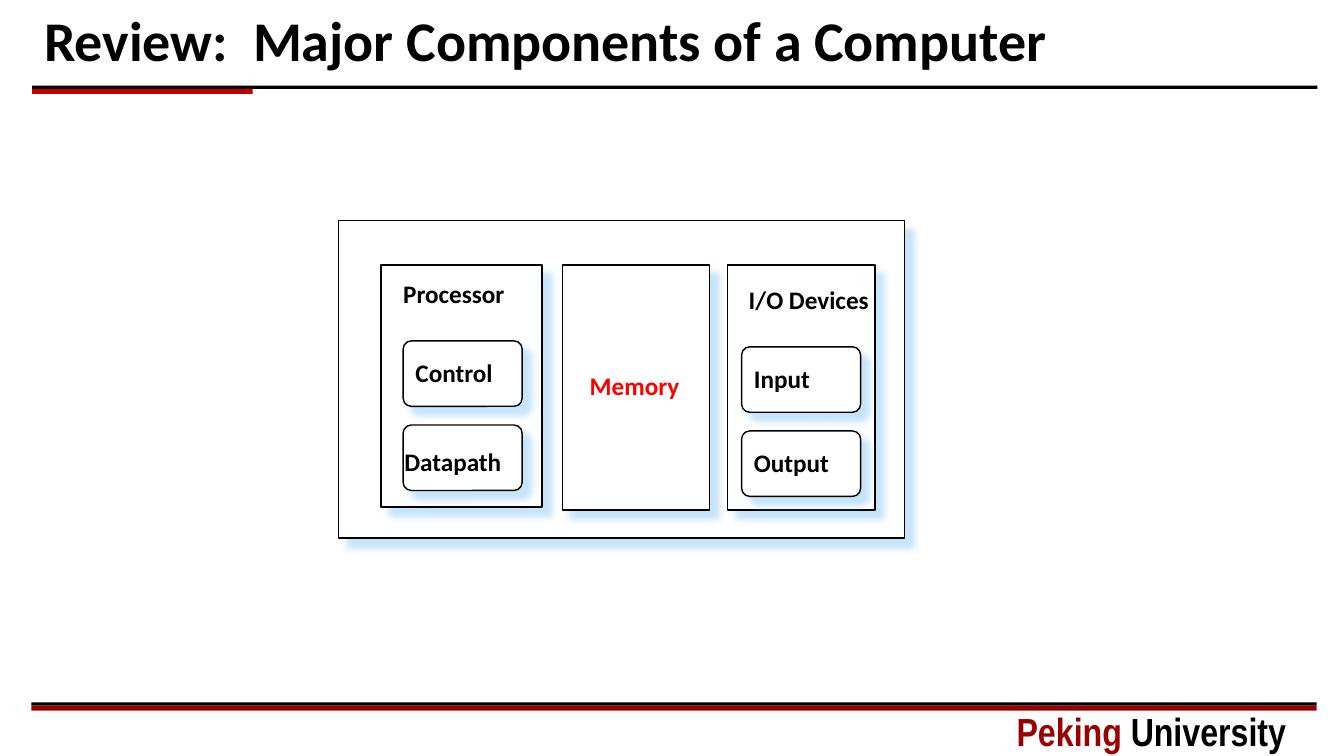
from typing import NamedTuple

from lxml import etree
from pptx import Presentation
from pptx.dml.color import RGBColor
from pptx.enum.shapes import MSO_SHAPE
from pptx.enum.text import MSO_ANCHOR, MSO_AUTO_SIZE, PP_ALIGN
from pptx.oxml.ns import qn
from pptx.util import Cm, Pt

RECT = MSO_SHAPE.RECTANGLE
ROUND = MSO_SHAPE.ROUNDED_RECTANGLE
LEFT = PP_ALIGN.LEFT
MIDDLE = MSO_ANCHOR.MIDDLE
GROW = MSO_AUTO_SIZE.SHAPE_TO_FIT_TEXT
NO_FIT = MSO_AUTO_SIZE.NONE

BLACK, WHITE, RED = "000000", "FFFFFF", "FF0000"
CRIMSON, MAROON, SKY = "C00000", "9A0001", "B4DCFA"


class Area(NamedTuple):
    """Left, top, width and height in centimetres."""
    x: float
    y: float
    w: float
    h: float


class Bar(NamedTuple):
    area: Area
    color: str


class Label(NamedTuple):
    text: str
    x: float
    y: float
    w: float
    color: str = BLACK


BARS = [
    Bar(Area(0.81, 2.16, 32.39, 0.08), BLACK),
    Bar(Area(0.81, 2.24, 5.56, 0.13), CRIMSON),
    Bar(Area(0.79, 17.7, 32.39, 0.08), BLACK),
    Bar(Area(0.79, 17.78, 32.39, 0.13), MAROON),
]
PANELS = [
    Area(8.53, 5.56, 14.27, 8),
    Area(9.6, 6.68, 4.06, 6.1),
    Area(14.17, 6.68, 3.71, 6.17),
    Area(18.34, 6.68, 3.71, 6.17),
]
STEP = 2.12
UNITS = [Area(x, y + row * STEP, 3, 1.65)
         for x, y in ((10.16, 8.59), (18.69, 8.74)) for row in range(2)]
LABELS = [
    Label("Processor", 9.98, 7.04, 3.33),
    Label("Control", 10.29, 9.04, 2.62),
    Label("Datapath", 10.01, 11.28, 3.12),
    Label("Memory", 14.68, 9.37, 2.84, RED),
    Label("I/O Devices", 18.69, 7.21, 3.4),
    Label("Input", 18.82, 9.19, 1.91),
    Label("Output", 18.82, 11.3, 2.44),
]


def rgb(color: str) -> RGBColor:
    return RGBColor.from_string(color)


def place(area: Area) -> list[Cm]:
    return [Cm(size) for size in area]


def style(run, font: str, size: float, color: str) -> None:
    run.font.name = font
    run.font.size = Pt(size)
    run.font.bold = True
    run.font.color.rgb = rgb(color)


def add_block(slide, kind, area: Area, color: str):
    """Add a filled shape with neither outline nor shadow."""
    shape = slide.shapes.add_shape(kind, *place(area))
    shape.shadow.inherit = False
    shape.fill.solid()
    shape.fill.fore_color.rgb = rgb(color)
    shape.line.fill.background()
    return shape


def add_box(slide, kind, area: Area) -> None:
    """Add an outlined white box with a soft blue shadow."""
    box = add_block(slide, kind, area, WHITE)
    box.line.color.rgb = rgb(BLACK)
    box.line.width = Pt(1)
    if kind == ROUND:
        box.adjustments[0] = 0.125
    effects = box._element.spPr.find(qn("a:effectLst"))
    shade = etree.SubElement(
        effects, qn("a:outerShdw"), blurRad=str(Pt(5)), dist=str(Pt(8.5)),
        dir="2700000", algn="tl", rotWithShape="0")
    tint = etree.SubElement(shade, qn("a:srgbClr"), val=SKY)
    etree.SubElement(tint, qn("a:alpha"), val="75000")


def add_label(slide, label: Label) -> None:
    area = Area(label.x, label.y, label.w, 0.79)
    frame = slide.shapes.add_textbox(*place(area)).text_frame
    frame.margin_left = frame.margin_right = Cm(0.18)
    frame.margin_top = frame.margin_bottom = Cm(0.08)
    frame.text = label.text
    frame.word_wrap = False
    frame.auto_size = GROW
    line = frame.paragraphs[0]
    line.line_spacing = 0.85
    style(line.runs[0], "Calibri", 18, label.color)


def set_title(slide, text: str) -> None:
    title = slide.shapes.title
    title.left, title.top, title.width, title.height = place(
        Area(0.86, 0.05, 32.23, 2.11))
    frame = title.text_frame
    frame.text = text
    frame.word_wrap = True
    frame.auto_size = NO_FIT
    frame.vertical_anchor = MIDDLE
    line = frame.paragraphs[0]
    line.alignment = LEFT
    line.line_spacing = 0.9
    style(line.runs[0], "Calibri", 40, BLACK)


def add_footer(slide) -> None:
    area = Area(25.37, 17.7, 8.03, 1.45)
    frame = slide.shapes.add_textbox(*place(area)).text_frame
    frame.word_wrap = True
    frame.auto_size = GROW
    line = frame.paragraphs[0]
    for text, color in (("Peking ", MAROON), ("University", BLACK)):
        run = line.add_run()
        run.text = text
        style(run, "Arial Narrow", 28, color)


def main() -> None:
    deck = Presentation()
    deck.slide_width, deck.slide_height = Cm(33.87), Cm(19.05)
    slide = deck.slides.add_slide(deck.slide_layouts.get_by_name("Title Only"))
    set_title(slide, "Review:  Major Components of a Computer")
    for bar in BARS:
        add_block(slide, RECT, bar.area, bar.color)
    add_footer(slide)
    for panel in PANELS:
        add_box(slide, RECT, panel)
    for unit in UNITS:
        add_box(slide, ROUND, unit)
    for label in LABELS:
        add_label(slide, label)
    deck.save("out.pptx")


if __name__ == "__main__":
    main()
